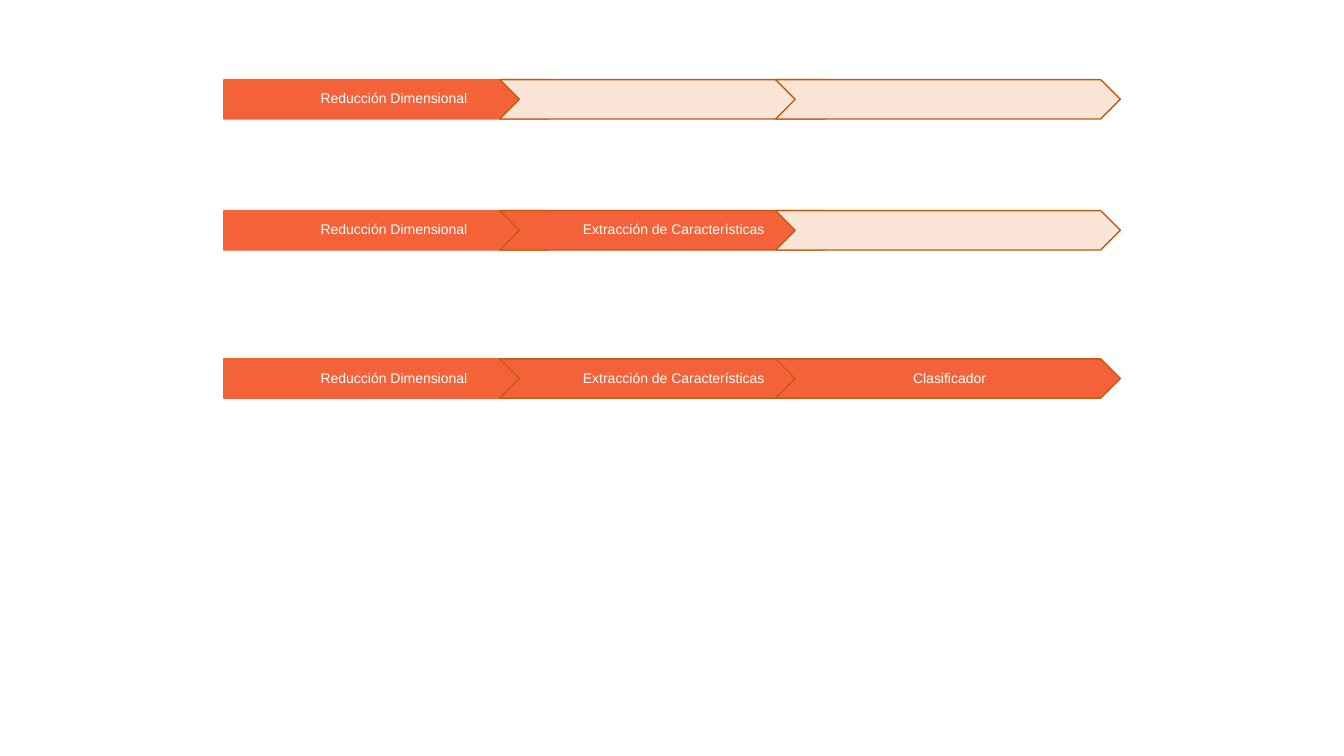
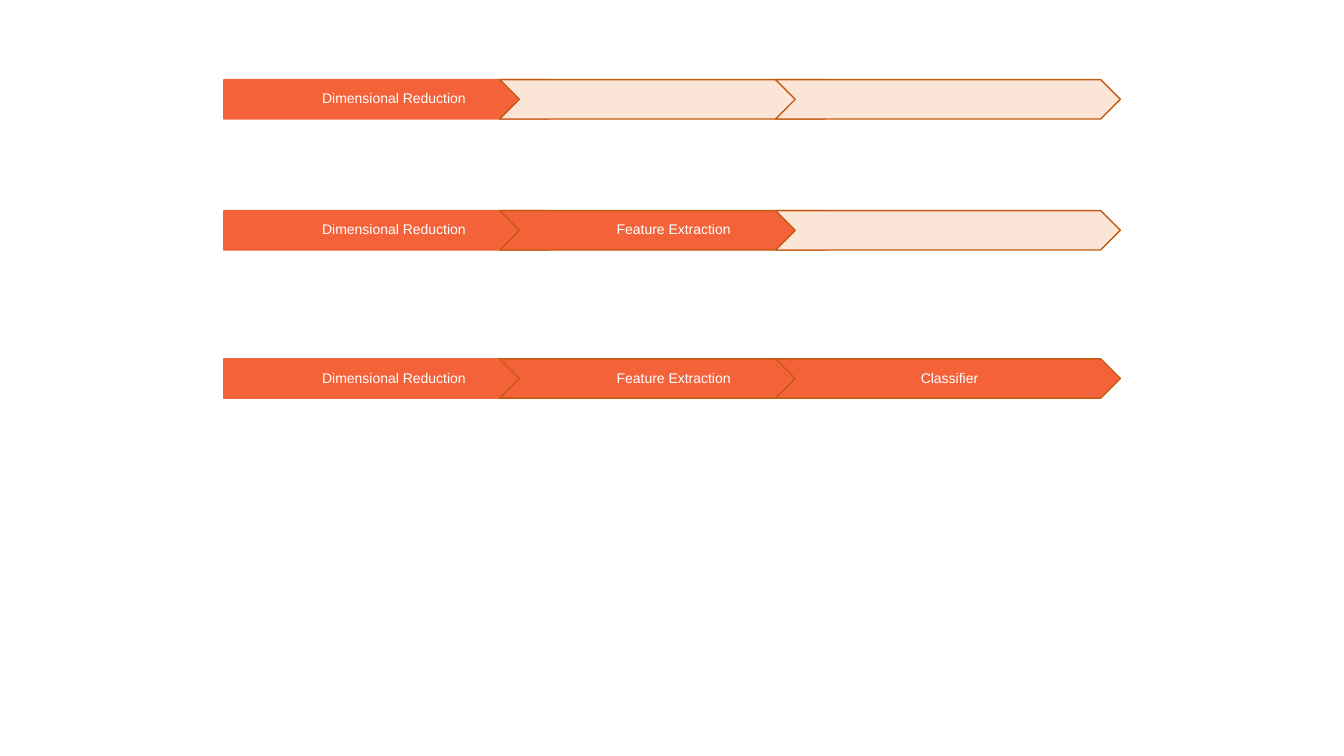
from pptx import Presentation, util as u
from pptx.dml.color import RGBColor
from pptx.enum import shapes, text

ORANGE = RGBColor(0xF4, 0x62, 0x3A)
PALE = RGBColor(0xFB, 0xE5, 0xD6)
BROWN = RGBColor(0xC5, 0x5A, 0x11)
WHITE = RGBColor(0xFF, 0xFF, 0xFF)

ROW_TOPS = (0.79, 2.09, 3.56)
STAGES_BY_LANGUAGE = (
    ("Reducción Dimensional", "Extracción de Características", "Clasificador"),
    ("Dimensional Reduction", "Feature Extraction", "Classifier"),
)


class PipelineDeck:
    FONT = "Arial"
    FONT_SIZE = u.Pt(10)
    LEFT = 2.22
    STAGE_WIDTH = 3.42
    STAGE_HEIGHT = 0.39
    COLUMN_STEP = 0.8 * STAGE_WIDTH

    def __init__(self):
        self.deck = Presentation()
        self.deck.slide_width = u.Inches(13.33)
        self.deck.slide_height = u.Inches(7.5)
        self.slide = None

    def add_slide(self):
        self.slide = self.deck.slides.add_slide(self.deck.slide_layouts[6])

    def add_pipeline(self, stages, top, reached):
        pipeline = self.slide.shapes.add_group_shape()
        for column, label in enumerate(stages):
            self.add_stage(pipeline, label, column, top, column < reached)

    def add_stage(self, pipeline, label, column, top, active):
        first = column == 0
        outline = shapes.MSO_SHAPE.PENTAGON if first else shapes.MSO_SHAPE.CHEVRON
        stage = pipeline.shapes.add_shape(
            outline,
            u.Inches(self.LEFT + column * self.COLUMN_STEP),
            u.Inches(top),
            u.Inches(self.STAGE_WIDTH),
            u.Inches(self.STAGE_HEIGHT),
        )
        stage.shadow.inherit = False
        stage.fill.solid()
        stage.fill.fore_color.rgb = ORANGE if active else PALE
        stage.line.color.rgb = ORANGE if first else BROWN
        stage.line.width = u.Pt(1)
        if active:
            self.write_label(stage.text_frame, label, 0.06 if first else 0.04)

    def write_label(self, frame, label, left_inset):
        frame.word_wrap = True
        frame.vertical_anchor = text.MSO_ANCHOR.MIDDLE
        frame.margin_left = u.Inches(left_inset)
        frame.margin_right = u.Inches(0.01)
        frame.margin_top = frame.margin_bottom = u.Inches(0.03)
        paragraph = frame.paragraphs[0]
        paragraph.text = label
        paragraph.alignment = text.PP_ALIGN.CENTER
        paragraph.line_spacing = 0.9
        paragraph.font.name = self.FONT
        paragraph.font.size = self.FONT_SIZE
        paragraph.font.color.rgb = WHITE


pipelines = PipelineDeck()
for stages in STAGES_BY_LANGUAGE:
    pipelines.add_slide()
    for reached, top in enumerate(ROW_TOPS, start=1):
        pipelines.add_pipeline(stages, top, reached)
pipelines.deck.save("out.pptx")
